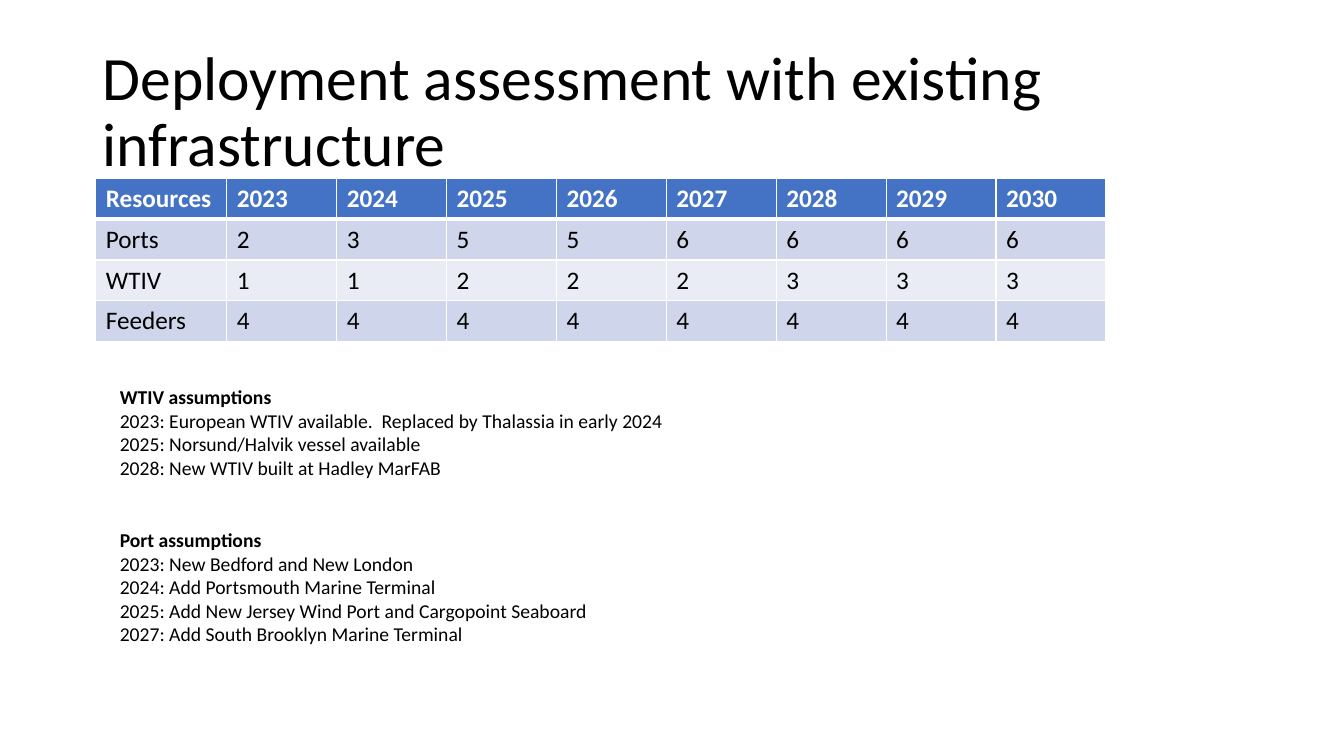
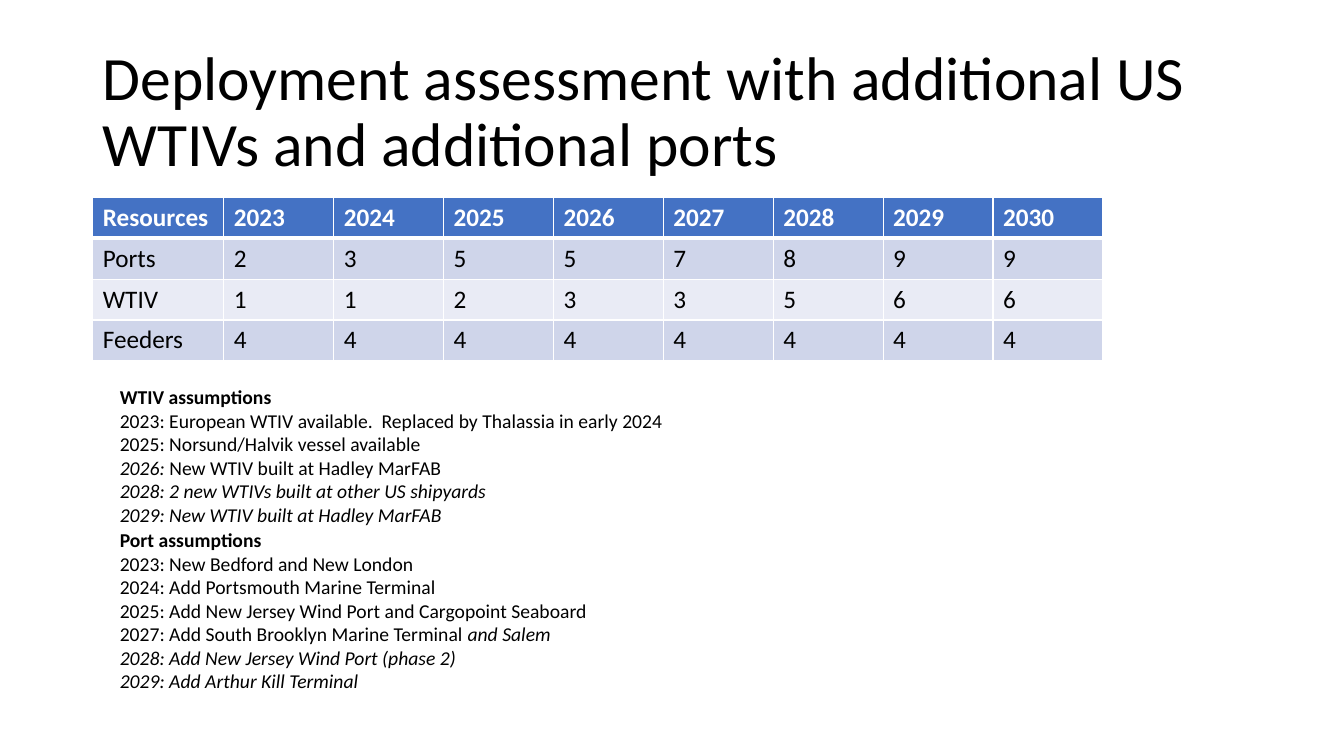
from lxml import etree
from pptx import Presentation
from pptx.dml.color import RGBColor
from pptx.enum.text import MSO_ANCHOR
from pptx.oxml.ns import qn
from pptx.util import Inches, Pt

FONT = "Calibri"
BLACK, WHITE = "000000", "FFFFFF"
HEADER_FILL, BAND_FILLS = "4472C4", ("CFD5EA", "E9EBF5")
TITLE_BOX = (0.92, 0.4, 11.5, 1.45)
LABEL_WIDTH, YEAR_WIDTH, ROW_HEIGHT = 1.3, 1.09, 0.405
NOTE_LEFT, NOTE_WIDTH, NOTE_LINE = 1.09, 6, 0.235
NOTE_TOPS = (3.77, 5.19)
HEADER = ["Resources", *range(2023, 2031)]

# Text between asterisks is italic.
WTIV_NOTES = [
    "WTIV assumptions",
    "2023: European WTIV available.  Replaced by Thalassia in early 2024",
    "2025: Norsund/Halvik vessel available",
]
PORT_NOTES = [
    "Port assumptions",
    "2023: New Bedford and New London",
    "2024: Add Portsmouth Marine Terminal",
    "2025: Add New Jersey Wind Port and Cargopoint Seaboard",
]
SLIDES = [
    {
        "title": "Deployment assessment with existing infrastructure",
        "table_at": (0.95, 1.77),
        "rows": [
            ["Ports", 2, 3, 5, 5, 6, 6, 6, 6],
            ["WTIV", 1, 1, 2, 2, 2, 3, 3, 3],
            ["Feeders"] + [4] * 8,
        ],
        "notes": [
            WTIV_NOTES + ["2028: New WTIV built at Hadley MarFAB"],
            PORT_NOTES + ["2027: Add South Brooklyn Marine Terminal"],
        ],
    },
    {
        "title": "Deployment assessment with additional US WTIVs and additional ports",
        "table_at": (0.92, 1.96),
        "rows": [
            ["Ports", 2, 3, 5, 5, 7, 8, 9, 9],
            ["WTIV", 1, 1, 2, 3, 3, 5, 6, 6],
            ["Feeders"] + [4] * 8,
        ],
        "notes": [
            WTIV_NOTES + [
                "*2026: *New WTIV built at Hadley MarFAB",
                "*2028: 2 new WTIVs built at other US shipyards*",
                "*2029: New WTIV built at Hadley MarFAB*",
            ],
            PORT_NOTES + [
                "2027: Add South Brooklyn Marine Terminal *and Salem*",
                "*2028: Add New Jersey Wind Port (phase 2)*",
                "*2029: Add Arthur Kill Terminal*",
            ],
        ],
    },
]


def rgb(value):
    return RGBColor.from_string(value)


def write(paragraph, text, size, color=BLACK, bold=False):
    """Fill a paragraph, turning text between asterisks italic."""
    for index, part in enumerate(text.split("*")):
        if part:
            run = paragraph.add_run()
            run.text = part
            font = run.font
            font.name, font.size, font.bold = FONT, Pt(size), bold
            font.italic = index % 2 == 1
            font.color.rgb = rgb(color)


def add_text_frame(slide, box):
    frame = slide.shapes.add_textbox(*map(Inches, box)).text_frame
    frame.word_wrap = True
    return frame


def add_title(slide, text):
    frame = add_text_frame(slide, TITLE_BOX)
    frame.vertical_anchor = MSO_ANCHOR.MIDDLE
    paragraph = frame.paragraphs[0]
    paragraph.line_spacing = 0.9
    write(paragraph, text, 44)


def add_notes(slide, top, lines):
    height = 0.1 + NOTE_LINE * len(lines)
    frame = add_text_frame(slide, (NOTE_LEFT, top, NOTE_WIDTH, height))
    for index, line in enumerate(lines):
        paragraph = frame.add_paragraph() if index else frame.paragraphs[0]
        write(paragraph, line, 14, bold=index == 0)


def set_borders(cell, row):
    """Draw white cell borders, thicker below the header row."""
    widths = {"L": 1, "R": 1, "T": 3 if row == 1 else 1, "B": 3 if row == 0 else 1}
    properties = cell._tc.get_or_add_tcPr()
    for side, width in widths.items():
        line = etree.SubElement(properties, qn(f"a:ln{side}"), w=str(Pt(width)))
        fill = etree.SubElement(line, qn("a:solidFill"))
        etree.SubElement(fill, qn("a:srgbClr"), val=WHITE)


def add_resource_table(slide, position, body):
    rows = [HEADER] + body
    widths = [LABEL_WIDTH] + [YEAR_WIDTH] * (len(HEADER) - 1)
    size = (sum(widths), ROW_HEIGHT * len(rows))
    table = slide.shapes.add_table(
        len(rows), len(HEADER), *map(Inches, position + size)
    ).table
    for column, width in zip(table.columns, widths):
        column.width = Inches(width)
    for r, values in enumerate(rows):
        is_header = r == 0
        fill = HEADER_FILL if is_header else BAND_FILLS[(r - 1) % 2]
        for c, value in enumerate(values):
            cell = table.cell(r, c)
            set_borders(cell, r)
            cell.fill.solid()
            cell.fill.fore_color.rgb = rgb(fill)
            write(cell.text_frame.paragraphs[0], str(value), 18,
                  WHITE if is_header else BLACK, is_header)


def main():
    presentation = Presentation()
    presentation.slide_width = Inches(13.33)
    presentation.slide_height = Inches(7.5)
    for content in SLIDES:
        slide = presentation.slides.add_slide(presentation.slide_layouts[6])
        add_title(slide, content["title"])
        add_resource_table(slide, content["table_at"], content["rows"])
        for top, lines in zip(NOTE_TOPS, content["notes"]):
            add_notes(slide, top, lines)
    presentation.save("out.pptx")


if __name__ == "__main__":
    main()
